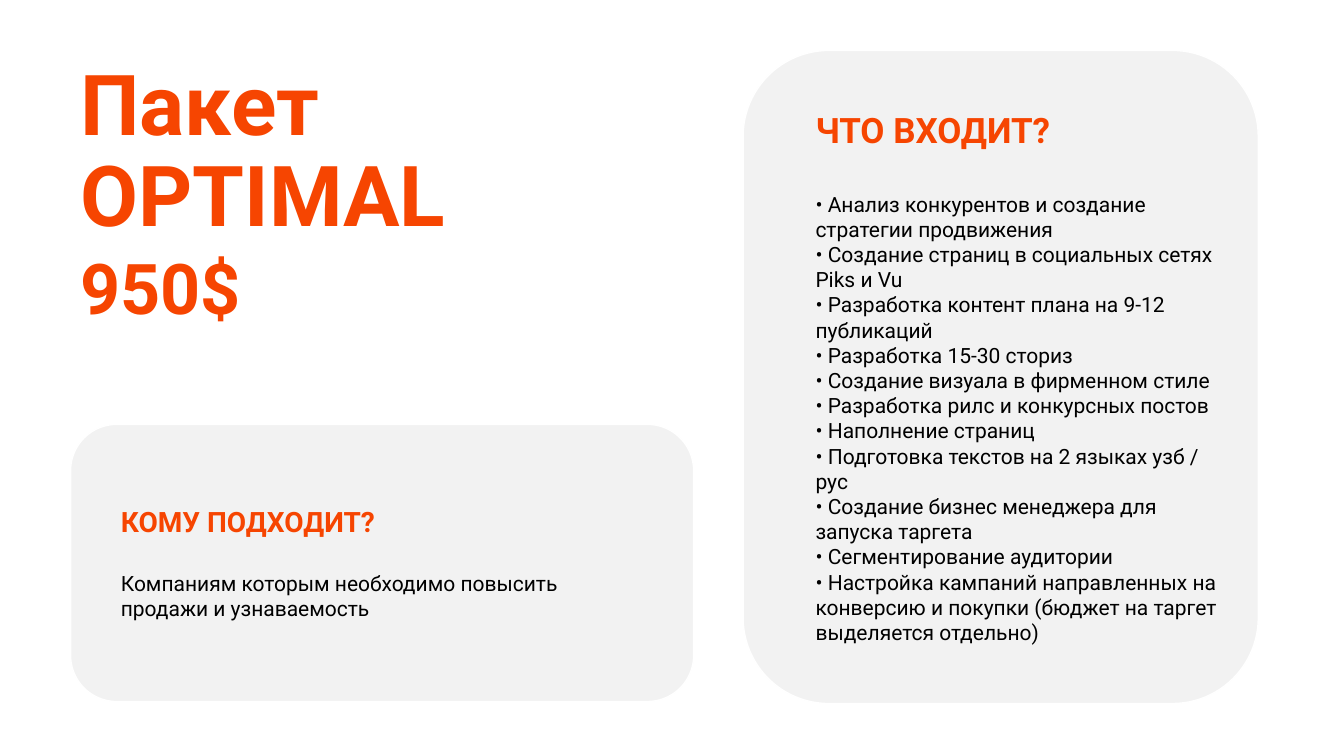
import dataclasses

import pptx
import pptx.dml.color
import pptx.enum.shapes
import pptx.enum.text
import pptx.slide
import pptx.text.text
import pptx.util

Inches = pptx.util.Inches
Pt = pptx.util.Pt

FONT = "Roboto"
ORANGE = "F64501"
BLACK = "000000"
WHITE = "FFFFFF"
PANEL_GRAY = "F2F2F2"
BODY_SIZE = 15
LINE_HEIGHT = 1.17  # Roboto line height relative to its size


@dataclasses.dataclass(frozen=True)
class Area:
    left: float
    top: float
    width: float
    height: float

    def lengths(self) -> tuple[int, int, int, int]:
        return (Inches(self.left), Inches(self.top),
                Inches(self.width), Inches(self.height))


@dataclasses.dataclass(frozen=True)
class Headline:
    area: Area
    text: str
    size: float


@dataclasses.dataclass(frozen=True)
class Section:
    panel: Area
    text_area: Area
    heading: str
    heading_size: float
    lines: list[str]


HEADLINES = [
    Headline(Area(0.7, 0.8, 11.5, 1.45), "Пакет\vOPTIMAL", 60),
    Headline(Area(0.7, 2.17, 11.5, 1.45), "950$", 50),
]

SECTIONS = [
    Section(
        Area(0.7, 4.21, 6.18, 2.75), Area(1.1, 4.94, 5.45, 1.28),
        "КОМУ ПОДХОДИТ?", 20,
        ["Компаниям которым необходимо повысить продажи и узнаваемость"],
    ),
    Section(
        Area(7.37, 0.5, 5.11, 6.48), Area(7.99, 1.12, 4.35, 5.23),
        "ЧТО ВХОДИТ?", 25,
        [
            "• Анализ конкурентов и создание стратегии продвижения",
            "• Создание страниц в социальных сетях Piks и Vu",
            "• Разработка контент плана на 9-12 публикаций",
            "• Разработка 15-30 сториз",
            "• Создание визуала в фирменном стиле",
            "• Разработка рилс и конкурсных постов",
            "• Наполнение страниц",
            "• Подготовка текстов на 2 языках узб / рус",
            "• Создание бизнес менеджера для запуска таргета",
            "• Сегментирование аудитории",
            "• Настройка кампаний направленных на конверсию и покупки "
            "(бюджет на таргет выделяется отдельно)",
        ],
    ),
]


def color(value: str) -> pptx.dml.color.RGBColor:
    return pptx.dml.color.RGBColor.from_string(value)


def add_text_frame(page: pptx.slide.Slide, area: Area) -> pptx.text.text.TextFrame:
    frame = page.shapes.add_textbox(*area.lengths()).text_frame
    frame.word_wrap = True
    frame.vertical_anchor = pptx.enum.text.MSO_ANCHOR.MIDDLE
    return frame


def write(para: pptx.text.text._Paragraph, text: str, *, size: float,
          fill: str = BLACK, bold: bool = False,
          line_spacing: float | None = None, space_before: float = 0) -> None:
    para.text = text
    para.line_spacing = line_spacing
    if space_before:
        para.space_before = Pt(space_before)
    for span in para.runs:
        span.font.name = FONT
        span.font.size = Pt(size)
        span.font.bold = bold
        span.font.color.rgb = color(fill)


def add_panel(page: pptx.slide.Slide, area: Area) -> None:
    panel = page.shapes.add_shape(
        pptx.enum.shapes.MSO_SHAPE.ROUNDED_RECTANGLE, *area.lengths())
    panel.shadow.inherit = False
    panel.fill.solid()
    panel.fill.fore_color.rgb = color(PANEL_GRAY)
    panel.line.color.rgb = color(WHITE)
    panel.line.width = Pt(1)


def add_headline(page: pptx.slide.Slide, headline: Headline) -> None:
    frame = add_text_frame(page, headline.area)
    write(frame.paragraphs[0], headline.text, size=headline.size,
          fill=ORANGE, bold=True, line_spacing=0.9)


def add_section_text(page: pptx.slide.Slide, section: Section) -> None:
    """Write the heading, a gap one heading line high, and the body lines."""
    frame = add_text_frame(page, section.text_area)
    frame.auto_size = pptx.enum.text.MSO_AUTO_SIZE.SHAPE_TO_FIT_TEXT
    write(frame.paragraphs[0], section.heading, size=section.heading_size,
          fill=ORANGE, bold=True)
    gap = round(section.heading_size * LINE_HEIGHT, 1)
    for index, line in enumerate(section.lines):
        write(frame.add_paragraph(), line, size=BODY_SIZE,
              space_before=0 if index else gap)


def main() -> None:
    deck = pptx.Presentation()
    deck.slide_width = Inches(13.33)
    deck.slide_height = Inches(7.5)
    page = deck.slides.add_slide(deck.slide_layouts[6])
    for section in SECTIONS:
        add_panel(page, section.panel)
    for headline in HEADLINES:
        add_headline(page, headline)
    for section in SECTIONS:
        add_section_text(page, section)
    deck.save("out.pptx")


if __name__ == "__main__":
    main()
